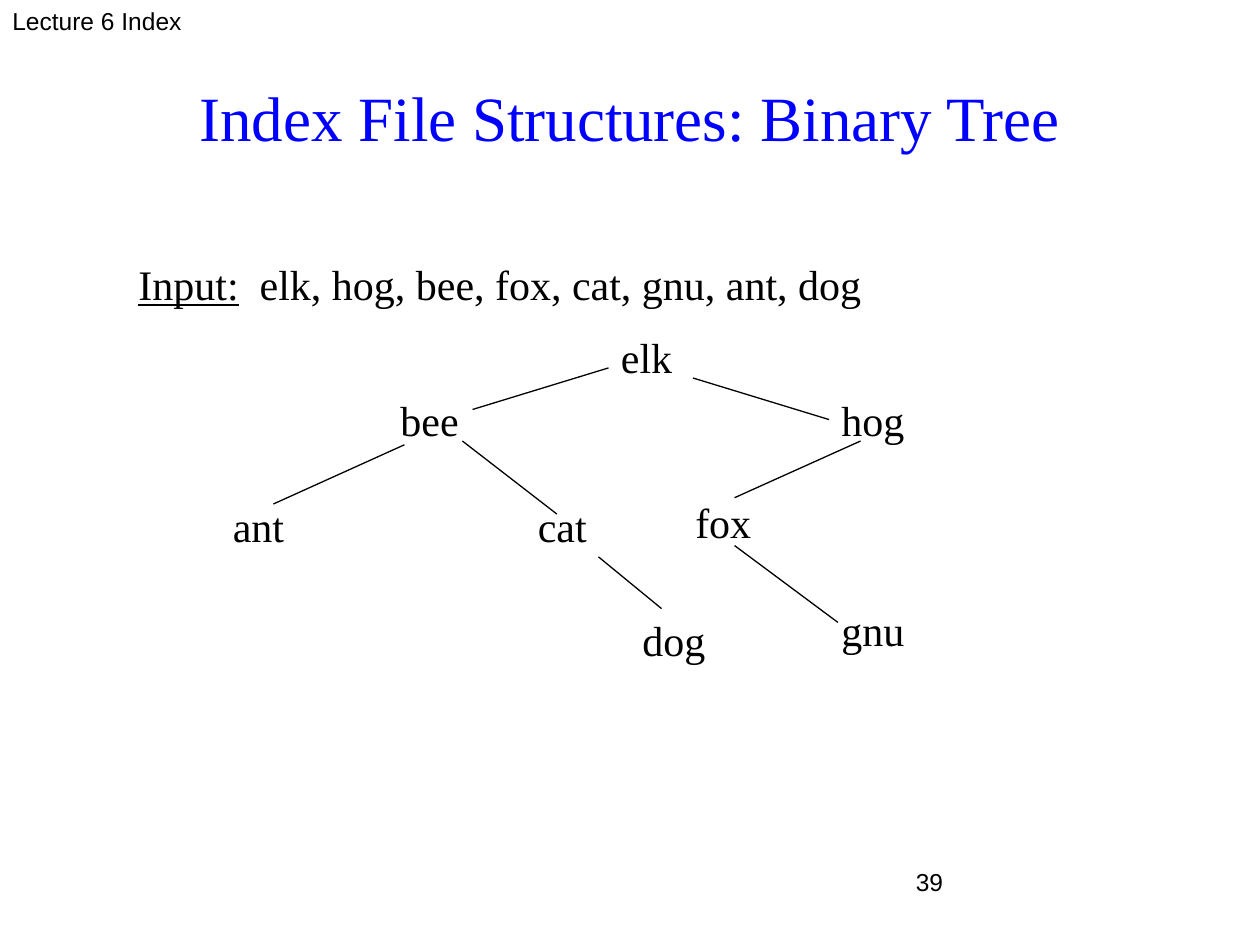
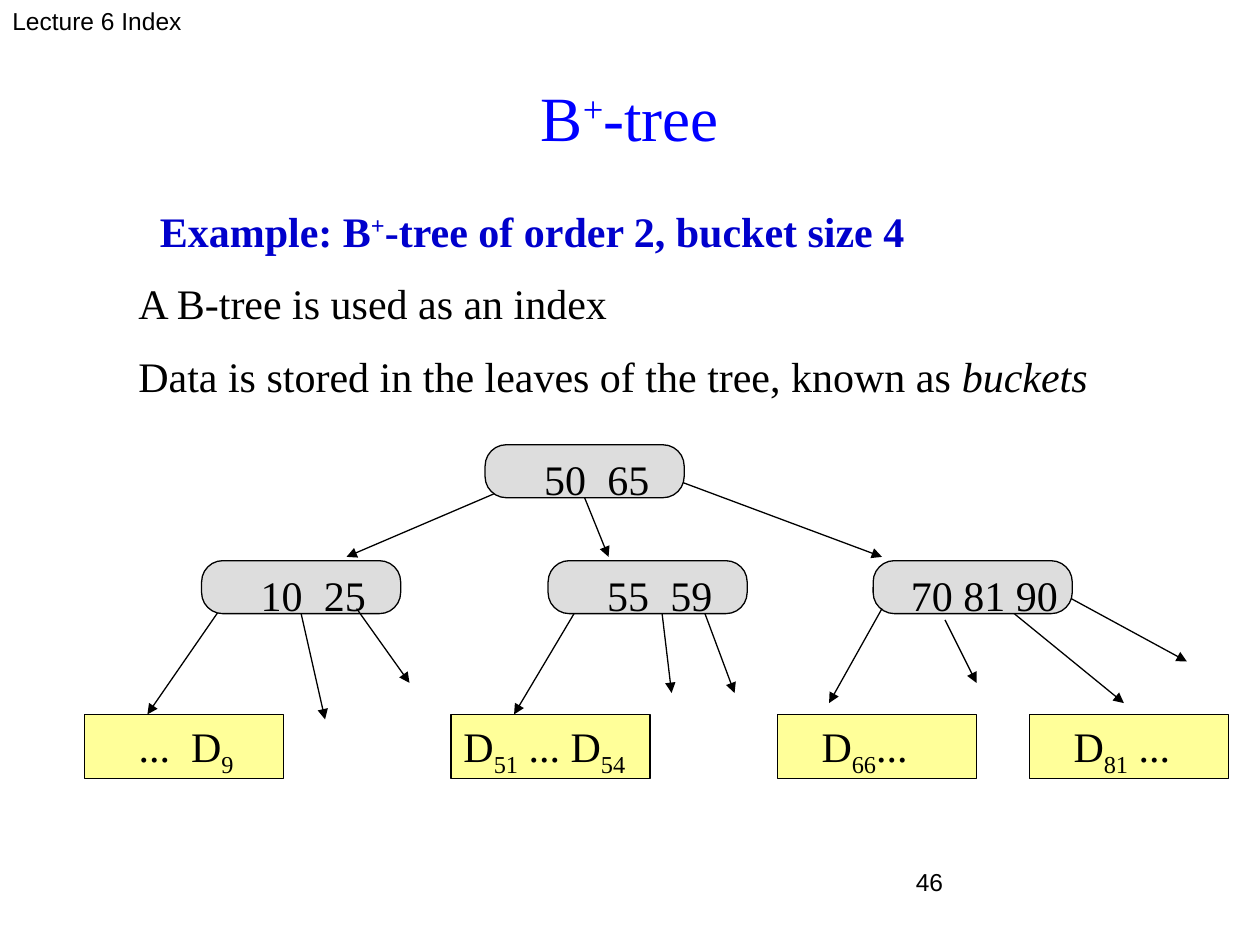
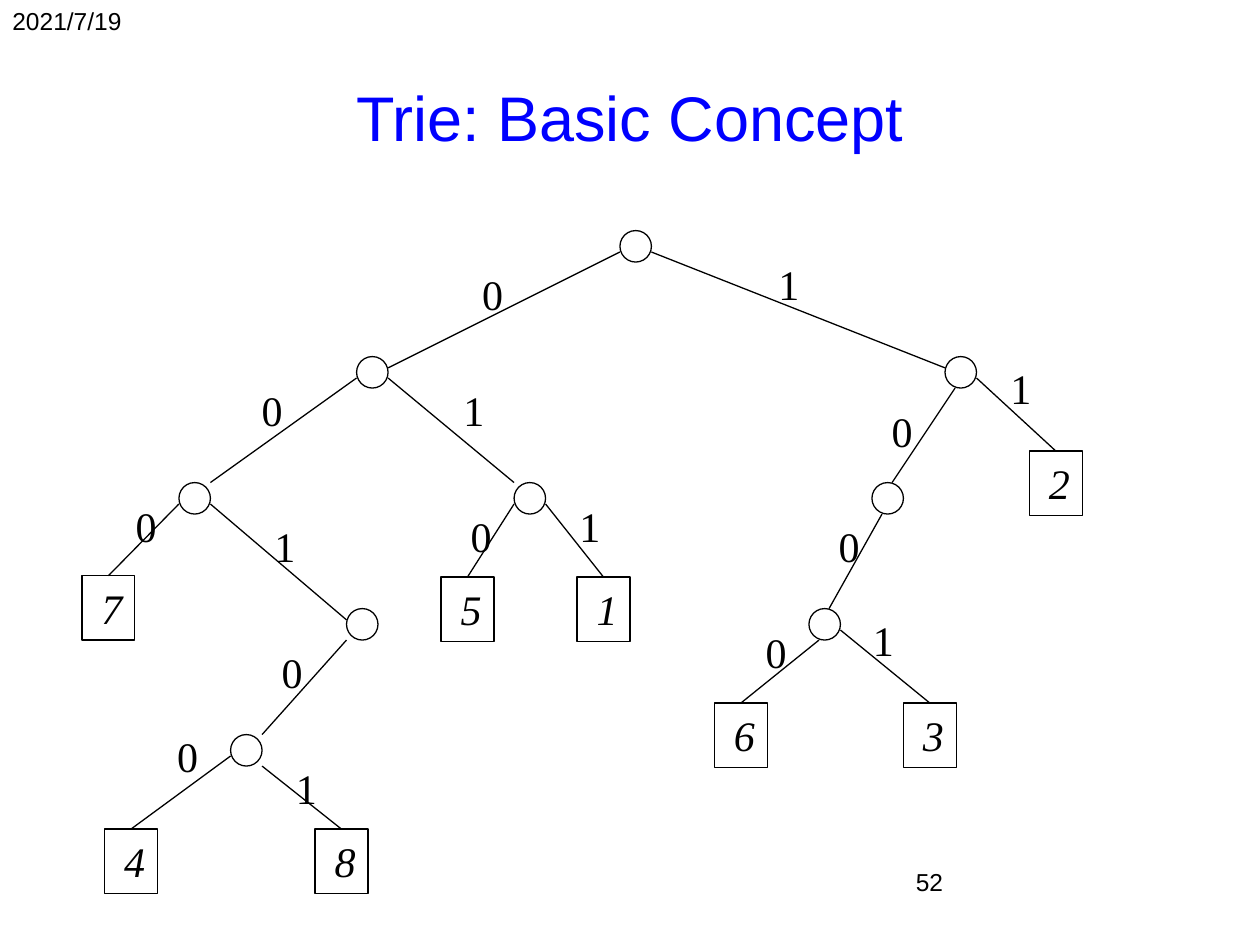
import pptx
import pptx.dml.color
import pptx.enum.shapes
import pptx.enum.text
import pptx.oxml
import pptx.oxml.ns
import pptx.util

Inches = pptx.util.Inches
Pt = pptx.util.Pt
ALIGN = pptx.enum.text.PP_ALIGN
ANCHOR = pptx.enum.text.MSO_ANCHOR
SHAPE = pptx.enum.shapes.MSO_SHAPE

COLORS = {"ink": "000000", "title": "0000FF", "example": "0000CC",
          "node": "DDDDDD", "bucket": "FFFF99"}
SERIF, SANS = "Times New Roman", "Arial"
BASELINES = {"sup": "30000", "sub": "-25000"}
TOP, BOTTOM = 0, 2


def rgb(name):
    """Return the named colour."""
    return pptx.dml.color.RGBColor.from_string(COLORS[name])


def fill_text(tf, paragraphs, size=24, font=SERIF, color="ink", bold=False,
              align=ALIGN.LEFT, gap=0):
    """Write paragraphs, each a string or a list of (text, style) runs."""
    tf.word_wrap = True
    for i, runs in enumerate(paragraphs):
        p = tf.add_paragraph() if i else tf.paragraphs[0]
        p.alignment = align
        if i:
            p.space_before = Pt(gap)
        if isinstance(runs, str):
            runs = [(runs, "")]
        for text, style in runs:
            r = p.add_run()
            r.text = text
            r.font.size = Pt(size)
            r.font.name = font
            r.font.color.rgb = rgb(color)
            r.font.bold = bold
            r.font.italic = style == "i"
            r.font.underline = style == "u"
            if style in BASELINES:
                r.font._element.set("baseline", BASELINES[style])


def add_text(s, left, top, width, height, *paragraphs, **style):
    """Add a text box."""
    tf = s.shapes.add_textbox(*map(Inches, (left, top, width, height))).text_frame
    fill_text(tf, paragraphs, **style)
    return tf


def add_box(s, kind, left, top, width, height, fill=None):
    """Add an outlined shape, filled if a colour is named."""
    sp = s.shapes.add_shape(kind, *map(Inches, (left, top, width, height)))
    sp.shadow.inherit = False
    if fill:
        sp.fill.solid()
        sp.fill.fore_color.rgb = rgb(fill)
    else:
        sp.fill.background()
    sp.line.color.rgb = rgb("ink")
    sp.line.width = Pt(0.75)
    sp.text_frame.vertical_anchor = ANCHOR.TOP
    return sp


def add_line(s, x1, y1, x2, y2, arrow=False):
    """Add a thin straight line, with an arrowhead if asked."""
    line = s.shapes.add_connector(pptx.enum.shapes.MSO_CONNECTOR.STRAIGHT,
                                  *map(Inches, (x1, y1, x2, y2)))
    line.line.color.rgb = rgb("ink")
    line.line.width = Pt(0.75)
    qn = pptx.oxml.ns.qn
    if arrow:
        ln = line.line._get_or_add_ln()
        ln.append(ln.makeelement(qn("a:tailEnd"), {"type": "triangle"}))
    props = line._element.spPr
    props.append(props.makeelement(qn("a:effectLst"), {}))
    return line


def add_key_node(s, left, top, keys, inset):
    """Add a rounded index node holding its keys."""
    sp = add_box(s, SHAPE.ROUNDED_RECTANGLE, left, top, 1.58, 0.42, "node")
    sp.adjustments[0] = 0.4
    tf = sp.text_frame
    tf.margin_left, tf.margin_right = Inches(inset), 0
    tf.margin_top = Inches(0.02)
    fill_text(tf, [keys])
    return sp


def add_bucket(s, left, inset, runs):
    """Add a data bucket on the leaf row."""
    tf = add_box(s, SHAPE.RECTANGLE, left, 5.67, 1.58, 0.51, "bucket").text_frame
    tf.margin_left = Inches(inset)
    fill_text(tf, [runs])


def add_leaf(s, left, top, digit):
    """Add a square trie leaf."""
    sp = add_box(s, SHAPE.RECTANGLE, left, top, 0.42, 0.51)
    fill_text(sp.text_frame, [[(digit, "i")]], align=ALIGN.RIGHT)
    return sp


def add_slide(prs, header, number, title, font=SERIF):
    """Add a blank slide with header, page number and title."""
    s = prs.slides.add_slide(prs.slide_layouts[6])
    add_text(s, 0, 0, 4.37, 0.52, header, size=14, font=SANS)
    add_text(s, 7.17, 6.83, 2.33, 0.52, number, size=14, font=SANS)
    tf = add_text(s, 0.5, 0.3, 9, 1.25, title, size=36, font=font,
                  color="title", align=ALIGN.CENTER)
    tf.vertical_anchor = ANCHOR.MIDDLE
    return s


def build_binary_tree(prs):
    """Build the binary tree slide."""
    s = add_slide(prs, "Lecture 6 Index", "39", "Index File Structures: Binary Tree")
    words = [("elk", 4.83, 2.58), ("bee", 3.08, 3.08), ("hog", 6.58, 3.08),
             ("cat", 4.17, 3.92), ("dog", 5, 4.83), ("fox", 5.42, 3.89),
             ("ant", 1.75, 3.92), ("gnu", 6.58, 4.75)]
    for word, left, top in words:
        add_text(s, left, top, 0.83, 0.5, word)
    branches = [(4.83, 2.92, 3.75, 3.25), (3.21, 3.53, 2.17, 4),
                (4.75, 4.42, 5.25, 4.83), (6.83, 3.5, 5.83, 3.95),
                (5.5, 3, 6.58, 3.33), (3.67, 3.5, 4.42, 4.08),
                (5.83, 4.33, 6.65, 4.94)]
    for branch in branches:
        add_line(s, *branch)
    add_text(s, 1, 2, 7.58, 0.5,
             [("Input:", "u"), ("  elk, hog, bee, fox, cat, gnu, ant, dog", "")])


def build_bplus_tree(prs):
    """Build the B+-tree slide."""
    s = add_slide(prs, "Lecture 6 Index", "46",
                  [("B", ""), ("+", "sup"), ("-tree", "")])
    add_text(s, 1.17, 1.58, 8.67, 0.5,
             [("Example: B", ""), ("+", "sup"), ("-tree of order 2, bucket size 4", "")],
             color="example", bold=True)
    add_text(s, 1, 2.15, 8.08, 1.1, "A B-tree is used as an index",
             [("Data is stored in the leaves of the tree, known as ", ""),
              ("buckets", "i")], gap=13)

    arrows_behind = [(8, 4.83, 8.92, 5.58), (8.5, 4.75, 9.42, 5.25),
                     (4.58, 4.83, 4.08, 5.67), (5.25, 4.83, 5.33, 5.5),
                     (5.58, 4.83, 5.83, 5.5), (1.75, 4.83, 1.17, 5.67)]
    for arrow in arrows_behind:
        add_line(s, *arrow, arrow=True)

    root = add_key_node(s, 3.85, 3.53, "50  65", 0.42)
    low = add_key_node(s, 1.6, 4.45, "10  25", 0.42)
    add_key_node(s, 4.35, 4.45, "55  59", 0.42)
    add_key_node(s, 6.93, 4.45, "70 81 90", 0.25)

    add_bucket(s, 0.67, 0.43, [("...  D", ""), ("9", "sub")])
    add_bucket(s, 3.58, 0.1, [("D", ""), ("51", "sub"), (" ... D", ""), ("54", "sub")])
    add_bucket(s, 6.17, 0.35, [("D", ""), ("66", "sub"), ("...", "")])
    add_bucket(s, 8.17, 0.35, [("D", ""), ("81", "sub"), (" ...", "")])

    arrows_front = [(3.92, 3.92, 2.75, 4.42), (5.42, 3.83, 7, 4.42),
                    (2.83, 4.83, 3.25, 5.42), (7, 4.83, 6.58, 5.58),
                    (7.5, 4.92, 7.75, 5.42)]
    for arrow in arrows_front:
        add_line(s, *arrow, arrow=True)
    for node, arrow in ((root, (4.64, 3.95, 4.83, 4.42)),
                        (low, (2.39, 4.87, 2.58, 5.71))):
        add_line(s, *arrow, arrow=True).begin_connect(node, BOTTOM)


def build_trie(prs):
    """Build the trie slide."""
    s = add_slide(prs, "2021/7/19", "52", "Trie: Basic Concept", SANS)
    circles = [(4.92, 1.83), (2.83, 2.83), (7.5, 2.83), (1.42, 3.83), (4.08, 3.83),
               (6.92, 3.83), (2.75, 4.83), (6.42, 4.83), (1.83, 5.83)]
    for left, top in circles:
        add_box(s, SHAPE.OVAL, left, top, 0.25, 0.25)

    inner_edges = [(4.92, 2, 3.08, 2.92), (2.83, 3, 1.67, 3.83), (1.67, 4, 2.75, 4.92),
                   (2.75, 5.08, 2.08, 5.83), (3.08, 3, 4.08, 3.83),
                   (5.17, 2, 7.5, 2.92), (7.58, 3.08, 7.08, 3.83),
                   (7, 4.08, 6.58, 4.83)]
    for edge in inner_edges:
        add_line(s, *edge)

    leaves = [("7", 0.65, 4.57, 1.42, 4), ("4", 0.83, 6.58, 1.83, 6),
              ("8", 2.5, 6.58, 2.08, 6.08), ("5", 3.5, 4.58, 4.08, 4),
              ("1", 4.58, 4.58, 4.33, 4), ("2", 8.17, 3.58, 7.75, 3),
              ("6", 5.67, 5.58, 6.5, 5.08), ("3", 7.17, 5.58, 6.67, 5)]
    for digit, left, top, start_x, start_y in leaves:
        leaf = add_leaf(s, left, top, digit)
        add_line(s, start_x, start_y, left + 0.21, top).end_connect(leaf, TOP)

    bits = {"0": (0.42, [(1.92, 3), (3.67, 2.08), (5.92, 4.92), (6.5, 4.08),
                         (6.92, 3.17), (0.92, 3.92), (2.08, 5.08), (1.25, 5.75),
                         (3.58, 4)]),
            "1": (0.33, [(3.58, 3), (6.08, 2), (2.25, 6), (4.5, 3.92),
                         (2.08, 4.08), (6.83, 4.83), (7.92, 2.83)])}
    for bit, (width, places) in bits.items():
        for left, top in places:
            add_text(s, left, top, width, 0.5, bit, align=ALIGN.RIGHT)


def main():
    """Build and save the slides."""
    prs = pptx.Presentation()
    prs.slide_width, prs.slide_height = Inches(10), Inches(7.5)
    build_binary_tree(prs)
    build_bplus_tree(prs)
    build_trie(prs)
    prs.save("out.pptx")


if __name__ == "__main__":
    main()
